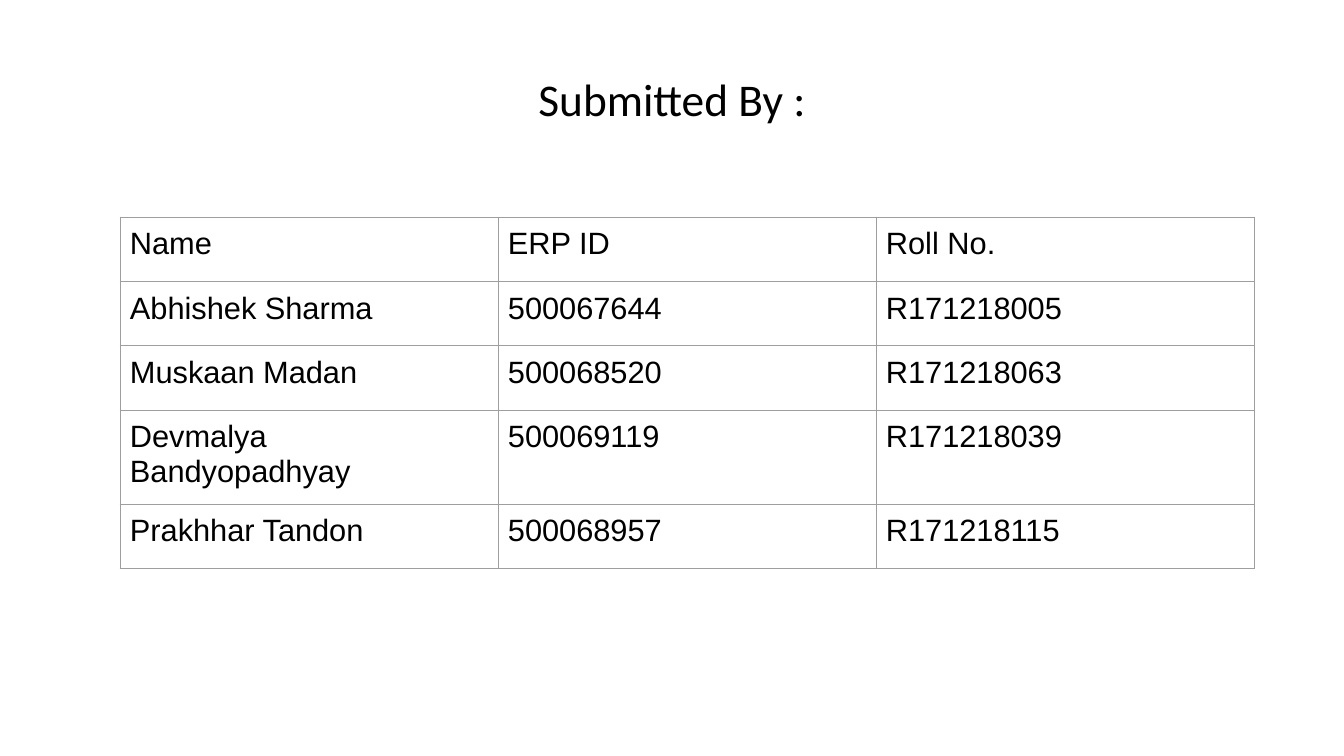
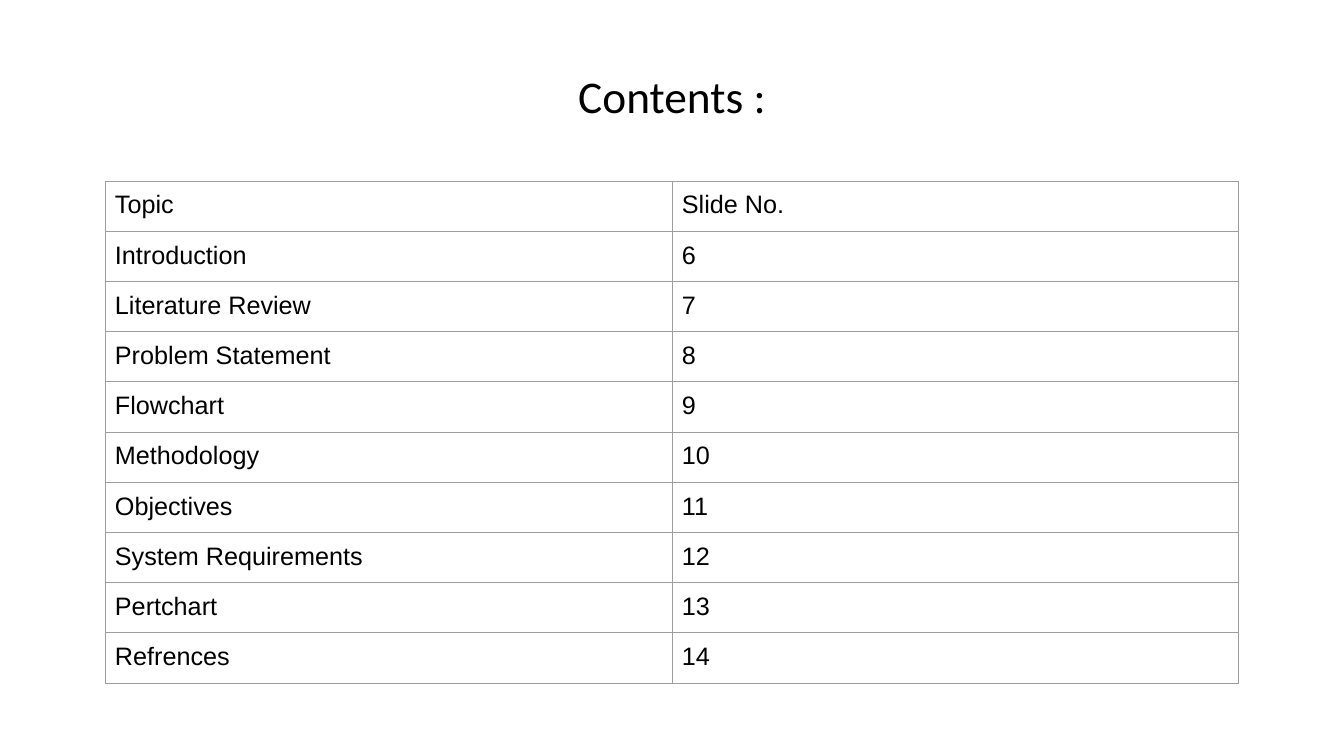
"""Build the team and contents slides of a project presentation."""
from dataclasses import dataclass

from lxml.etree import SubElement
from pptx import Presentation
from pptx.dml.color import RGBColor
from pptx.enum.text import MSO_ANCHOR as Anchor, PP_ALIGN as Align
from pptx.oxml.ns import qn
from pptx.util import Emu, Pt

EMU_PER_PX = 914400 / 100.8
SLIDE_W, SLIDE_H = 1344, 756
TABLE_W = 1134
TITLE_H = 62
CELL_INSET = 10


@dataclass(frozen=True)
class Theme:
    """Colours, fonts and type sizes shared by the slides."""
    ink: str = "000000"
    rule: str = "9E9E9E"
    rule_pt: float = 0.75
    title_font: str = "Calibri"
    body_font: str = "Arial"
    title_pt: float = 32.4
    team_pt: int = 22
    contents_pt: int = 18


THEME = Theme()

TEAM = [
    ("Name", "ERP ID", "Roll No."),
    ("Abhishek Sharma", "500067644", "R171218005"),
    ("Muskaan Madan", "500068520", "R171218063"),
    ("Devmalya Bandyopadhyay", "500069119", "R171218039"),
    ("Prakhhar Tandon", "500068957", "R171218115"),
]
TOPICS = [
    "Introduction", "Literature Review", "Problem Statement", "Flowchart", "Methodology",
    "Objectives", "System Requirements", "Pertchart", "Refrences",
]
FIRST_TOPIC_SLIDE = 6
CONTENTS = [("Topic", "Slide No.")] + [
    (topic, str(number)) for number, topic in enumerate(TOPICS, FIRST_TOPIC_SLIDE)
]


def px(length):
    """Turn pixels into EMU."""
    return Emu(round(length * EMU_PER_PX))


def add_run(paragraph, wording, font, size):
    """Add one run of text in the ink colour."""
    run = paragraph.add_run()
    run.text = wording
    run.font.name = font
    run.font.size = Pt(size)
    run.font.color.rgb = RGBColor.from_string(THEME.ink)


def add_title(slide, wording, top):
    """Add a centred title across the slide."""
    frame = slide.shapes.add_textbox(0, px(top), px(SLIDE_W), px(TITLE_H)).text_frame
    frame.word_wrap = True
    frame.vertical_anchor = Anchor.MIDDLE
    heading = frame.paragraphs[0]
    heading.alignment = Align.CENTER
    heading.line_spacing = 0.9
    add_run(heading, wording, THEME.title_font, THEME.title_pt)


def outline_cell(cell):
    """Draw a thin rule on all four sides of a cell."""
    properties = cell._tc.get_or_add_tcPr()
    for side in ("lnL", "lnR", "lnT", "lnB"):
        rule = SubElement(properties, qn(f"a:{side}"), w=str(Pt(THEME.rule_pt)))
        SubElement(SubElement(rule, qn("a:solidFill")), qn("a:srgbClr"), val=THEME.rule)


def fill_cell(cell, wording, size):
    """Write one unfilled, outlined cell."""
    cell.margin_left = cell.margin_right = px(CELL_INSET)
    cell.margin_top = cell.margin_bottom = px(CELL_INSET)
    outline_cell(cell)
    cell.fill.background()
    add_run(cell.text_frame.paragraphs[0], wording, THEME.body_font, size)


def add_grid(slide, rows, left, top, height, size):
    """Add a table with equal columns and equal rows."""
    table = slide.shapes.add_table(
        len(rows), len(rows[0]), px(left), px(top), px(TABLE_W), px(height)
    ).table
    table.first_row = table.horz_banding = False
    for row, record in enumerate(rows):
        for column, wording in enumerate(record):
            fill_cell(table.cell(row, column), wording, size)


def main():
    """Build and save both slides."""
    deck = Presentation()
    deck.slide_width, deck.slide_height = px(SLIDE_W), px(SLIDE_H)
    blank = deck.slide_layouts[6]

    team = deck.slides.add_slide(blank)
    add_title(team, "Submitted By :", 71)
    add_grid(team, TEAM, 120, 217, 322, THEME.team_pt)

    contents = deck.slides.add_slide(blank)
    add_title(contents, "Contents :", 68)
    add_grid(contents, CONTENTS, 105, 181, 483, THEME.contents_pt)

    deck.save("out.pptx")


if __name__ == "__main__":
    main()
